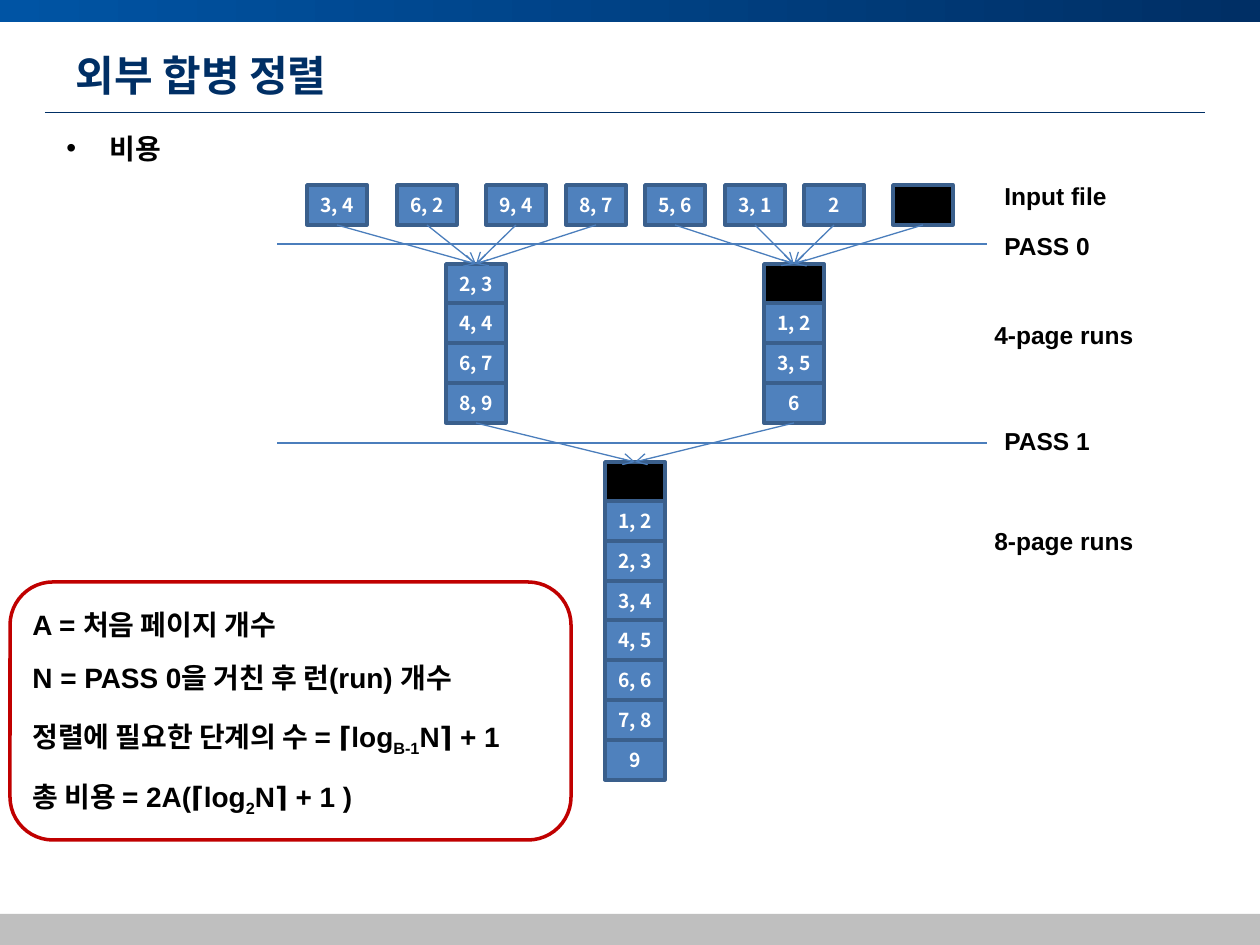
import pptx
import pptx.util
import pptx.dml.color
import pptx.enum.shapes
import pptx.enum.text
import pptx.oxml
import pptx.oxml.ns

RGBColor = pptx.dml.color.RGBColor
NAVY = RGBColor(0x00, 0x2F, 0x65)
ROYAL = RGBColor(0x00, 0x54, 0xA4)
GRAY = RGBColor(0xBF, 0xBF, 0xBF)
BLUE = RGBColor(0x4F, 0x81, 0xBD)
EDGE = RGBColor(0x3A, 0x5F, 0x8C)
LINK = RGBColor(0x4B, 0x7E, 0xBC)
RED = RGBColor(0xC0, 0x00, 0x00)
BLACK = RGBColor(0, 0, 0)
WHITE = RGBColor(255, 255, 255)
SANS = "Noto Sans CJK KR"
PX = 914400 // 126
KIND = pptx.enum.shapes.MSO_SHAPE
ANCHOR = pptx.enum.text.MSO_ANCHOR
ALIGN = pptx.enum.text.PP_ALIGN
FIT = pptx.enum.text.MSO_AUTO_SIZE
Pt = pptx.util.Pt


def write(shape, parts, face, size, color, **frame):
    text = shape.text_frame
    for key, val in frame.items():
        setattr(text, key, val)
    para = text.paragraphs[0]
    for i, part in enumerate(parts):
        run = para.add_run()
        run.text = part
        look = {"name": face, "size": Pt(size), "bold": True}
        for key, val in look.items():
            setattr(run.font, key, val)
        run.font.color.rgb = color
        props = run._r.get_or_add_rPr()
        east = pptx.oxml.parse_xml(f'<a:ea {pptx.oxml.ns.nsdecls("a")} typeface="{SANS}"/>')
        props.find(pptx.oxml.ns.qn("a:latin")).addnext(east)
        if i == 1:
            props.set("baseline", "-25000")
    return para


def link(ends, color, width, arrow=False):
    line = slide.shapes.add_connector(
        pptx.enum.shapes.MSO_CONNECTOR.STRAIGHT, *[n * PX for n in ends])
    line.line.color.rgb = color
    line.line.width = Pt(width)
    props = line._element.spPr
    if arrow:
        props.find(pptx.oxml.ns.qn("a:ln")).append(
            pptx.oxml.parse_xml(f'<a:tailEnd {pptx.oxml.ns.nsdecls("a")} type="arrow"/>'))
    props.append(pptx.oxml.parse_xml(f'<a:effectLst {pptx.oxml.ns.nsdecls("a")}/>'))
    return line


deck = pptx.Presentation()
deck.slide_width = 1260 * PX
deck.slide_height = 945 * PX
slide = deck.slides.add_slide(deck.slide_layouts[5])

for top, high in [(0, 22), (914, 31)]:
    bar = slide.shapes.add_shape(KIND.RECTANGLE, 0, top * PX, 1260 * PX, high * PX)
    bar.shadow.inherit = False
    bar.line.fill.background()
    if top:
        bar.fill.solid()
        bar.fill.fore_color.rgb = GRAY
    else:
        bar.fill.gradient()
        bar.fill.gradient_angle = 0
        for stop, color in zip(bar.fill.gradient_stops, [ROYAL, NAVY]):
            stop.color.rgb = color
link((45, 112, 1205, 112), NAVY, 0.5)

title = slide.shapes.title
place = {"left": 63, "top": 38, "width": 1134, "height": 73}
for key, val in place.items():
    setattr(title, key, val * PX)
para = write(title, ["외부 합병 정렬"], SANS, 24, NAVY, vertical_anchor=ANCHOR.MIDDLE)
para.alignment = ALIGN.LEFT

pages = ["3, 4", "6, 2", "9, 4", "8, 7", "5, 6", "3, 1", "2", ""]
lefts = [307, 397, 486, 566, 645, 725, 804, 893]
stacks = [
    (446, 264, ["2, 3", "4, 4", "6, 7", "8, 9"]),
    (764, 264, ["", "1, 2", "3, 5", "6"]),
    (605, 462, ["", "1, 2", "2, 3", "3, 4", "4, 5", "6, 6", "7, 8", "9"]),
]
cells = [(left, 185, word) for left, word in zip(lefts, pages)]
for left, top, words in stacks:
    cells += [(left, top + i * 278 // 7, word) for i, word in enumerate(words)]

boxes = []
for left, top, word in cells:
    box = slide.shapes.add_shape(KIND.RECTANGLE, left * PX, top * PX, 60 * PX, 40 * PX)
    box.shadow.inherit = False
    box.fill.solid()
    box.fill.fore_color.rgb = BLUE if word else BLACK
    box.line.color.rgb = EDGE
    box.line.width = Pt(2)
    if word:
        para = write(box, [word], SANS, 11, WHITE,
                     vertical_anchor=ANCHOR.MIDDLE, margin_left=0, margin_right=0)
        para.alignment = ALIGN.CENTER
    boxes.append(box)

for y in (244, 443):
    link((987, y, 277, y), LINK, 0.75)

joins = [(i, 8 if i < 4 else 12) for i in range(8)] + [(11, 16), (15, 16)]
for start, end in joins:
    line = link((0, 0, 0, 0), LINK, 0.75, True)
    line.begin_connect(boxes[start], 2)
    line.end_connect(boxes[end], 0)

frame = slide.shapes.add_shape(KIND.ROUNDED_RECTANGLE, 10 * PX, 582 * PX, 561 * PX, 258 * PX)
frame.shadow.inherit = False
frame.fill.background()
frame.line.color.rgb = RED
frame.line.width = Pt(2)

notes = [
    (992, 175, 159, 14, ["Input file"]),
    (992, 225, 159, 14, ["PASS 0"]),
    (982, 314, 213, 14, ["4-page runs"]),
    (992, 420, 159, 14, ["PASS 1"]),
    (982, 520, 213, 14, ["8-page runs"]),
    (20, 601, 512, 16, ["A = 처음 페이지 개수"]),
    (20, 654, 512, 16, ["N = PASS 0을 거친 후 런(run) 개수"]),
    (20, 713, 600, 16, ["정렬에 필요한 단계의 수 = ⌈log", "B-1", "N⌉ + 1"]),
    (20, 773, 600, 16, ["총 비용 = 2A(⌈log", "2", "N⌉ + 1 )"]),
    (54, 125, 512, 16, ["비용"]),
]
for left, top, wide, size, parts in notes:
    note = slide.shapes.add_textbox(left * PX, top * PX, wide * PX, (size * 3 - 1) * PX)
    para = write(note, parts, "Arial", size, BLACK,
                 word_wrap=True, auto_size=FIT.SHAPE_TO_FIT_TEXT)

props = para._p.get_or_add_pPr()
for key, val in {"marL": 43, "indent": -43}.items():
    props.set(key, str(val * PX))
props.append(pptx.oxml.parse_xml(f'<a:buFont {pptx.oxml.ns.nsdecls("a")} typeface="Arial"/>'))
props.append(pptx.oxml.parse_xml(f'<a:buChar {pptx.oxml.ns.nsdecls("a")} char="•"/>'))

deck.save("out.pptx")
